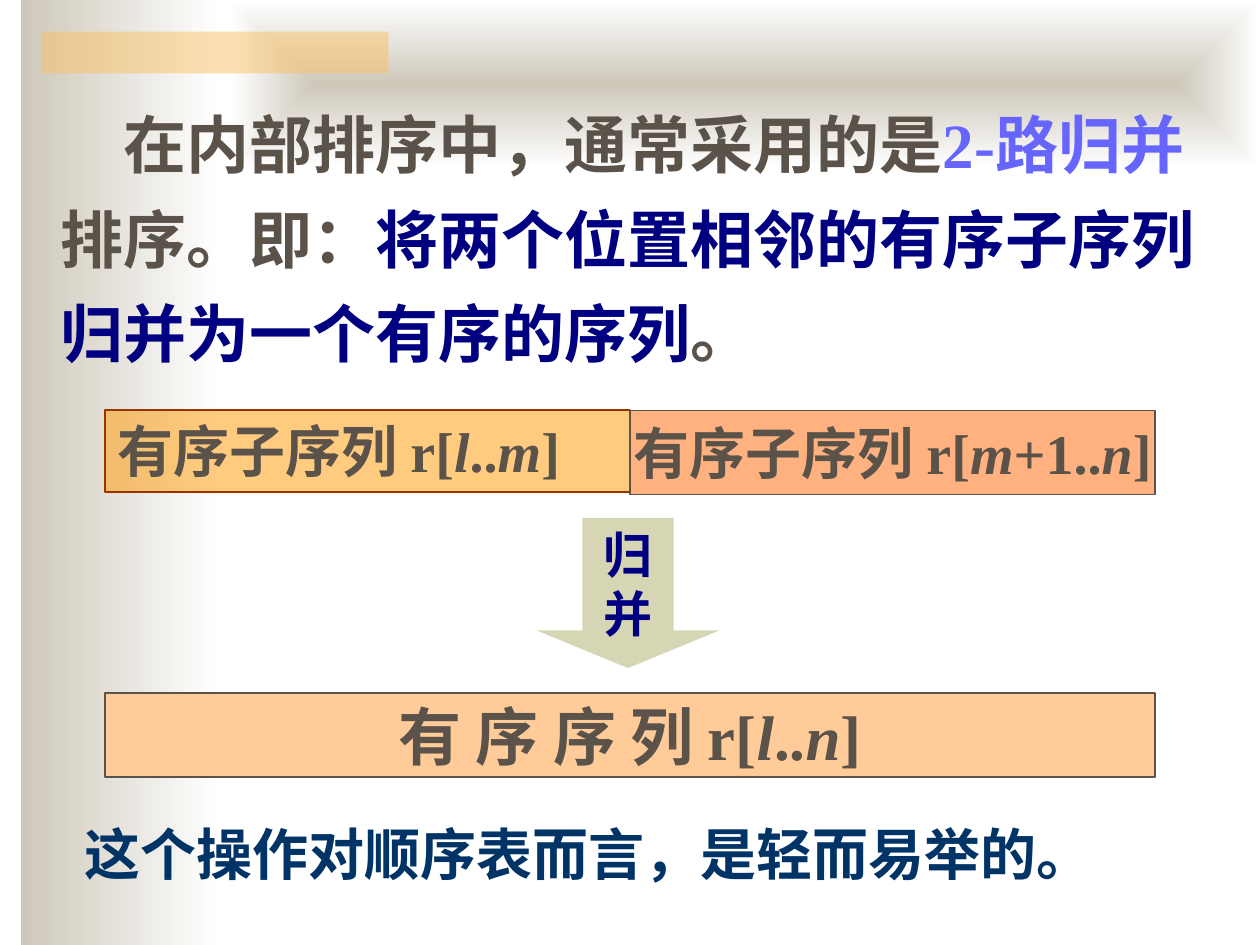
from lxml import etree
from pptx import Presentation
from pptx.dml.color import RGBColor
from pptx.enum.shapes import MSO_SHAPE as SHAPE
from pptx.enum.text import MSO_ANCHOR as ANCHOR, MSO_AUTO_SIZE as AUTO, PP_ALIGN as ALIGN
from pptx.oxml.ns import qn
from pptx.util import Pt

SAND = RGBColor(0xCE, 0xC8, 0xBA)
WHITE = RGBColor(0xFF, 0xFF, 0xFF)
GOLD = RGBColor(0xFA, 0xC1, 0x64)
BROWN = RGBColor(0x5B, 0x52, 0x49)
VIOLET = RGBColor(0x66, 0x66, 0xFF)
NAVY = RGBColor(0x00, 0x00, 0x80)
TEAL = RGBColor(0x00, 0x33, 0x66)
PEACH = RGBColor(0xFF, 0xCC, 0x99)
AMBER = RGBColor(0xFF, 0x99, 0x00)
ORANGE = RGBColor(0xFF, 0x66, 0x00)
RUST = RGBColor(0x99, 0x33, 0x00)
OLIVE = RGBColor(0xB0, 0xAE, 0x6A)

CENTERED = {"anchor": ANCHOR.MIDDLE, "wrap": False, "align": ALIGN.CENTER}
GROWING = {"auto_size": AUTO.SHAPE_TO_FIT_TEXT}


class Deck:
    font = "Times New Roman"

    def __init__(self, width, height):
        self.prs = Presentation()
        self.prs.slide_width, self.prs.slide_height = Pt(width), Pt(height)
        self.s = self.prs.slides.add_slide(self.prs.slide_layouts[6])

    def shape(self, box, kind=SHAPE.RECTANGLE, line=None, width=0.75):
        sp = self.s.shapes.add_shape(kind, *map(Pt, box))
        sp.shadow.inherit = False
        if line is None:
            sp.line.fill.background()
        else:
            sp.line.color.rgb, sp.line.width = line, Pt(width)
        return sp

    def solid(self, box, color, alpha=100, **style):
        """Add a shape with a plain fill; alpha is its opacity in percent."""
        sp = self.shape(box, **style)
        sp.fill.solid()
        sp.fill.fore_color.rgb = color
        if alpha < 100:
            clr = sp._element.spPr.find(qn("a:solidFill"))[0]
            etree.SubElement(clr, qn("a:alpha")).set("val", str(alpha * 1000))
        return sp

    def gradient(self, box, first, last, centered=False):
        """Add a borderless shape shaded left to right, or from its centre out."""
        sp = self.shape(box)
        sp.fill.gradient()
        sp.fill.gradient_angle = 0
        for stop, color in zip(sp.fill.gradient_stops, (first, last)):
            stop.color.rgb = color
        if centered:
            grad = sp._element.spPr.find(qn("a:gradFill"))
            grad.remove(grad.find(qn("a:lin")))
            shade = etree.SubElement(grad, qn("a:path"))
            shade.set("path", "shape")
            rect = etree.SubElement(shade, qn("a:fillToRect"))
            for side in "ltrb":
                rect.set(side, "50000")

    def textbox(self, box, paragraphs, size, **style):
        sp = self.s.shapes.add_textbox(*map(Pt, box))
        self.label(sp, paragraphs, size, **style)

    def label(self, sp, paragraphs, size, anchor=ANCHOR.TOP, wrap=True,
              align=ALIGN.LEFT, auto_size=AUTO.NONE, spacing=None, indent=0):
        """Fill a shape; each paragraph is a list of (text, colour, italic)."""
        tf = sp.text_frame
        frame = {"word_wrap": wrap, "auto_size": auto_size, "vertical_anchor": anchor}
        for name, value in frame.items():
            setattr(tf, name, value)
        for i, runs in enumerate(paragraphs):
            p = tf.add_paragraph() if i else tf.paragraphs[0]
            p.alignment, p.line_spacing = align, spacing
            if indent:
                p._p.get_or_add_pPr().set("indent", str(Pt(indent)))
            for text, color, italic in runs:
                r = p.add_run()
                r.text = text
                r.font.color.rgb = color
                look = {"name": self.font, "size": Pt(size), "bold": True, "italic": italic}
                for name, value in look.items():
                    setattr(r.font, name, value)


def plain(*pairs):
    return [(text, color, False) for text, color in pairs]


def formula(*parts):
    """Alternate upright and italic runs, beginning upright."""
    return [(text, BROWN, i % 2 == 1) for i, text in enumerate(parts)]


def main():
    deck = Deck(720, 540)
    deck.gradient((12, 0, 114, 540), SAND, WHITE)
    deck.gradient((132, 0, 588, 96), SAND, WHITE, centered=True)
    deck.solid((24, 18, 198, 24), GOLD, 50)

    deck.textbox((27.5, 46, 672, 170), [plain(
        ("在内部排序中，通常采用的是", BROWN),
        ("2-路归并", VIOLET),
        ("排序。即：", BROWN),
        ("将两个位置相邻的有序子序列归并为一个有序的序列", NAVY),
        ("。", BROWN),
    )], 36, spacing=1.25, indent=36, **GROWING)

    left, half, top = 60, 300, 234.5
    merged = deck.solid((left, 396, 2 * half, 48), PEACH, line=BROWN)
    deck.label(merged, [formula("有 序 序 列 r[", "l", "..", "n", "]")], 36, **CENTERED)
    first = deck.solid((left, top, half, 46.5), AMBER, 50, line=RUST, width=1)
    deck.label(first, [formula("有序子序列 r[", "l", "..", "m", "]")], 32, **GROWING)
    second = deck.solid((left + half, top, half, 48), ORANGE, 50, line=BROWN)
    deck.label(second, [formula("有序子序列 r[", "m", "+1..", "n", "]")], 32, **CENTERED)

    deck.textbox((41, 464.5, 592.5, 45.5), [plain(("这个操作对顺序表而言，是轻而易举的。", TEAL))],
                 32, wrap=False, **GROWING)

    arrow = deck.solid((306.75, 296, 104.25, 85.75), OLIVE, 50, kind=SHAPE.DOWN_ARROW)
    arrow.adjustments[0], arrow.adjustments[1] = 0.5, 0.25
    deck.label(arrow, [plain((char, NAVY)) for char in "归并"], 28, **CENTERED)

    deck.prs.save("out.pptx")


if __name__ == "__main__":
    main()
